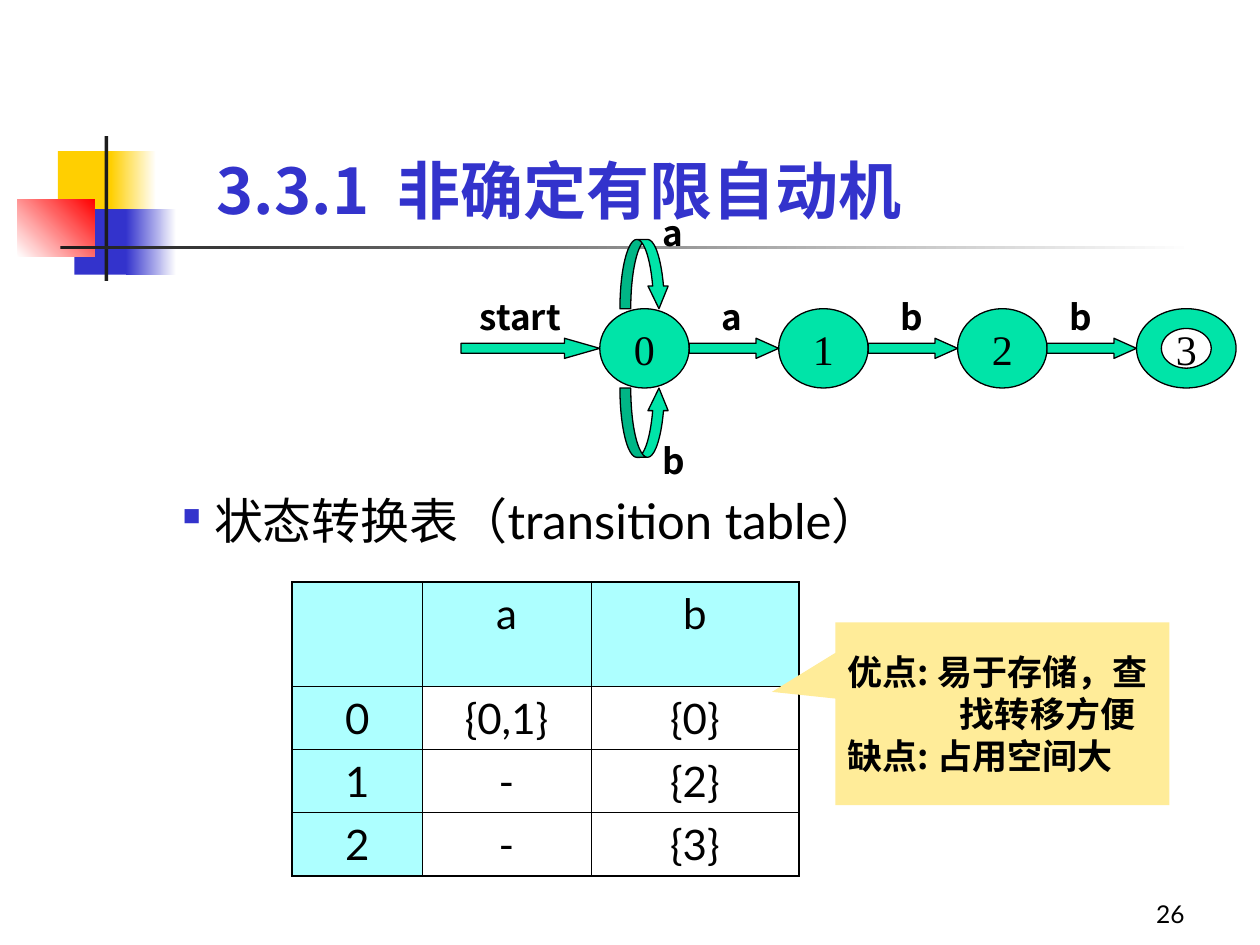
from math import cos, pi, sin

from lxml import etree
from pptx import Presentation
from pptx.dml.color import RGBColor
from pptx.enum.shapes import MSO_SHAPE
from pptx.enum.text import MSO_ANCHOR, MSO_AUTO_SIZE, PP_ALIGN
from pptx.oxml.ns import qn
from pptx.util import Inches, Pt

RECT, OVAL = MSO_SHAPE.RECTANGLE, MSO_SHAPE.OVAL
ARROW, NOTE = MSO_SHAPE.RIGHT_ARROW, MSO_SHAPE.RECTANGULAR_CALLOUT
LOOP_UP, LOOP_DOWN = MSO_SHAPE.CURVED_DOWN_ARROW, MSO_SHAPE.CURVED_UP_ARROW
TOP, MID, LOW = MSO_ANCHOR.TOP, MSO_ANCHOR.MIDDLE, MSO_ANCHOR.BOTTOM
LEFT, MIDDLE, RIGHT = PP_ALIGN.LEFT, PP_ALIGN.CENTER, PP_ALIGN.RIGHT
FIT = MSO_AUTO_SIZE.SHAPE_TO_FIT_TEXT

SANS, HAN, HAN_JP, SERIF = "Lato", "Noto Sans CJK SC", "Noto Sans CJK JP", "Times New Roman"
BLACK, WHITE, BLUE, GOLD, RED = "000000", "FFFFFF", "3333CC", "FFCF01", "FF0000"
DARK, GREEN, AQUA, CREAM = "1C1C1C", "00E4A8", "ADFFFF", "FFEC99"

# State grid: four states, one step apart
START, STEP, WIDE, HIGH, ROW = 4.76, 1.42, 0.71, 0.63, 2.45
AXIS = ROW + HIGH / 2


def rgb(code):
    return RGBColor.from_string(code)


def box(*at):
    return [Inches(n) for n in at]


def write(frame, text, size, font, color=BLACK, bold=False, align=LEFT,
          anchor=TOP, before=0, wrap=True):
    frame.text = text
    frame.word_wrap = wrap
    frame.vertical_anchor = anchor
    for para in frame.paragraphs:
        para.alignment = align
        para.space_before = Pt(before)
        for run in para.runs:
            run.font.size, run.font.name, run.font.bold = Pt(size), font, bold
            run.font.color.rgb = rgb(color)
            east = etree.SubElement(run.font._element, qn("a:ea"))
            east.set("typeface", HAN if font == SANS else font)


def indent(para, left, first):
    props = para._p.get_or_add_pPr()
    props.set("marL", str(Inches(left)))
    props.set("indent", str(Inches(first)))
    return props


def paint(shape, fill, line=None):
    shape.shadow.inherit = False
    shape.fill.solid()
    shape.fill.fore_color.rgb = rgb(fill)
    if line:
        shape.line.color.rgb = rgb(line)
        shape.line.width = Pt(0.75)
    else:
        shape.line.fill.background()


def add(slide, kind, at, fill, line=None, adj=()):
    shape = slide.shapes.add_shape(kind, *box(*at))
    paint(shape, fill, line)
    for i, value in enumerate(adj):
        shape.adjustments[i] = value
    return shape


def fade(slide, at, first, last, angle=0):
    shape = add(slide, RECT, at, first)
    shape.fill.gradient()
    shape.fill.gradient_angle = angle
    for stop, color, place in zip(shape.fill.gradient_stops, (first, last), (0, 1)):
        stop.color.rgb = rgb(color)
        stop.position = place


def label(slide, at, text, size, font, **style):
    frame = slide.shapes.add_textbox(*box(*at)).text_frame
    write(frame, text, size, font, **style)
    return frame


def mark(slide, left, top, text, width=0.32):
    frame = label(slide, (left, top, width, 0.44), text, 20, HAN, bold=True,
                  align=MIDDLE, anchor=LOW, before=12.5)
    frame.auto_size = FIT


def ring(slide, left, top, width, height):
    """Closing state: an oval band with an oval hole of half its size."""
    mid_x, mid_y, count = left + width / 2, top + height / 2, 72

    def points(share, turn):
        return [box(mid_x + share * width / 2 * cos(turn * 2 * pi * i / count),
                    mid_y + share * height / 2 * sin(turn * 2 * pi * i / count))
                for i in range(count)]

    outer, inner = points(1, 1), points(0.5, -1)
    path = slide.shapes.build_freeform(*outer[0])
    path.add_line_segments(outer[1:], close=True)
    path.move_to(*inner[0])
    path.add_line_segments(inner[1:], close=True)
    shape = path.convert_to_shape()
    paint(shape, GREEN, BLACK)
    return shape


def decor(slide):
    add(slide, RECT, (0.46, 1.2, 0.48, 0.52), GOLD)
    fade(slide, (0.88, 1.2, 0.36, 0.52), GOLD, WHITE)
    add(slide, RECT, (0.59, 1.66, 0.46, 0.52), BLUE)
    fade(slide, (1, 1.66, 0.4, 0.52), BLUE, WHITE)
    fade(slide, (0.14, 1.58, 0.61, 0.46), WHITE, RED, 45)
    add(slide, RECT, (0.83, 1.08, 0.03, 1.15), DARK)
    fade(slide, (0.48, 1.95, 9, 0.03), DARK, WHITE)


def graph(slide):
    # States
    for i in range(4):
        left = START + i * STEP
        if i < 3:
            state = add(slide, OVAL, (left, ROW, WIDE, HIGH), GREEN, BLACK)
        else:
            state = ring(slide, left, ROW, 0.79, HIGH)
        write(state.text_frame, str(i), 24, SERIF, align=MIDDLE, anchor=MID, wrap=False)
    # Moves between states
    add(slide, ARROW, (3.66, AXIS - 0.08, 1.1, 0.16), GREEN, BLACK, (0.5, 1.75))
    for i in range(3):
        left = START + WIDE + i * STEP
        add(slide, ARROW, (left, AXIS - 0.08, WIDE, 0.16), GREEN, BLACK, (0.5, 1.12))
    mark(slide, 3.58, 2.29, "start", 1.1)
    for left, text in ((5.63, "a"), (7.05, "b"), (8.39, "b")):
        mark(slide, left, 2.29, text)
    # Loops at state 0
    for kind, top, text, place in ((LOOP_UP, ROW - 0.55, "a", 1.62),
                                   (LOOP_DOWN, ROW + HIGH, "b", 3.43)):
        add(slide, kind, (4.92, top, 0.39, 0.55), GREEN, BLACK, (0.22, 0.41, 0.46))
        mark(slide, 5.16, place, text)


def edge(cell, side, width):
    line = etree.SubElement(cell._tc.get_or_add_tcPr(), qn("a:ln" + side), w=str(Pt(width)))
    fill = etree.SubElement(line, qn("a:solidFill"))
    etree.SubElement(fill, qn("a:srgbClr"), val=BLACK)


def grid(slide, rows, widths, heights):
    table = slide.shapes.add_table(len(rows), len(widths), *box(
        2.32, 4.62, sum(widths), sum(heights))).table
    table.first_row = table.horz_banding = False
    for col, width in zip(table.columns, widths):
        col.width = Inches(width)
    for row, height in zip(table.rows, heights):
        row.height = Inches(height)
    for r, row in enumerate(rows):
        for c, text in enumerate(row):
            cell = table.cell(r, c)
            outer = {"L": c == 0, "R": c == len(row) - 1,
                     "T": r == 0, "B": r == len(rows) - 1}
            for side, thick in outer.items():
                edge(cell, side, 1.08 if thick else 0.45)
            if r == 0 or c == 0:
                cell.fill.solid()
                cell.fill.fore_color.rgb = rgb(AQUA)
            else:
                cell.fill.background()
            write(cell.text_frame, text, 24, SANS, align=MIDDLE, before=6)


def bullet(slide):
    frame = label(slide, (0.35, 3.75, 8.58, 0.71), "状态转换表（transition table）",
                  28, SANS, before=7)
    para = frame.paragraphs[0]
    para.line_spacing = 1.2
    props = indent(para, 1.25, -0.25)
    color = etree.SubElement(props, qn("a:buClr"))
    etree.SubElement(color, qn("a:srgbClr"), val=BLUE)
    etree.SubElement(props, qn("a:buSzPct"), val="50000")
    etree.SubElement(props, qn("a:buChar"), char="■")


def note(slide):
    shape = add(slide, NOTE, (6.63, 4.94, 2.65, 1.45), CREAM, adj=(-0.69, -0.12))
    write(shape.text_frame, "优点: 易于存储，查找转移方便\n缺点: 占用空间大",
          20, HAN_JP, bold=True, anchor=MID)
    for para in shape.text_frame.paragraphs:
        indent(para, 0.89, -0.89)


def main():
    deck = Presentation()
    deck.slide_width, deck.slide_height = box(10, 7.5)
    slide = deck.slides.add_slide(deck.slide_layouts[5])
    decor(slide)
    # Title
    title = slide.shapes.title
    title.left, title.top, title.width, title.height = box(1.62, 0.92, 7.46, 0.93)
    write(title.text_frame, "3.3.1  非确定有限自动机", 36, HAN, BLUE, True, anchor=LOW)
    # Content
    bullet(slide)
    graph(slide)
    grid(slide, [["", "a", "b"], ["0", "{0,1}", "{0}"], ["1", "-", "{2}"], ["2", "-", "{3}"]],
         [1.03, 1.34, 1.65], [0.83, 0.5, 0.5, 0.5])
    note(slide)
    # Page number
    label(slide, (7.42, 6.92, 2.08, 0.5), "26", 14, SANS, align=RIGHT, anchor=LOW)
    deck.save("out.pptx")


if __name__ == "__main__":
    main()
